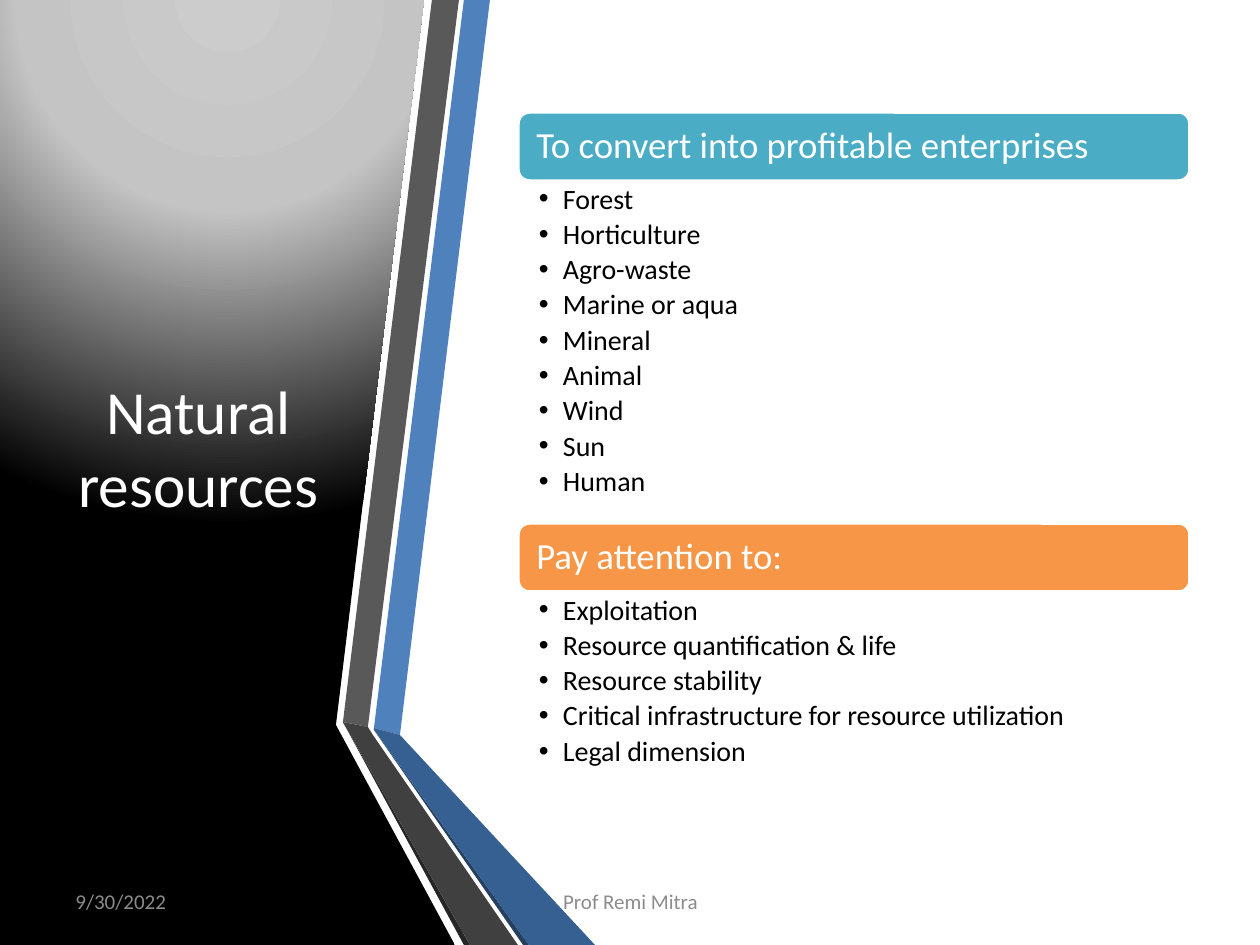
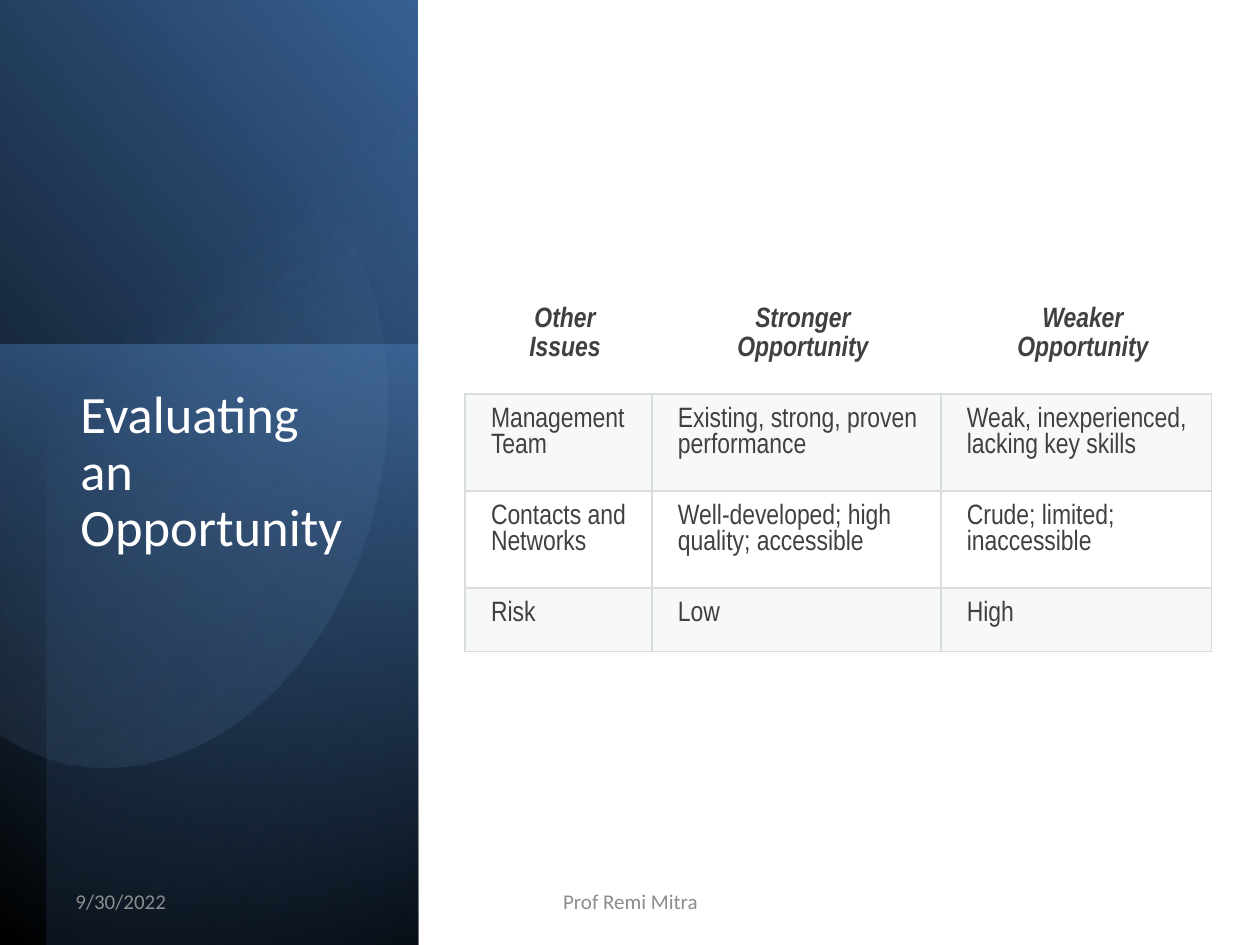
"""Build two course slides: natural resources and evaluating an opportunity."""
import collections
import dataclasses
import math

import lxml.etree
import pptx
import pptx.dml.color
import pptx.enum.shapes
import pptx.enum.text
import pptx.oxml.ns
import pptx.util

PX = 914400 / 126
SHAPES = pptx.enum.shapes.MSO_SHAPE
ALIGN = pptx.enum.text.PP_ALIGN
ANCHOR = pptx.enum.text.MSO_ANCHOR
Box = collections.namedtuple("Box", "x y w h")
qn = pptx.oxml.ns.qn


@dataclasses.dataclass(frozen=True)
class Theme:
    """Colours, fonts and type sizes of the deck."""
    white: str = "FFFFFF"
    black: str = "000000"
    muted: str = "8C8C8C"
    text: str = "404040"
    steel: str = "595959"
    charcoal: str = "404040"
    coal: str = "262626"
    blue: str = "4F81BD"
    deep_blue: str = "376092"
    navy: str = "254061"
    pale_blue: str = "95B3D7"
    teal: str = "4BACC6"
    orange: str = "F79646"
    rule: str = "D8DCDC"
    stripe: str = "D8DEDC"
    body_font: str = "Calibri"
    table_font: str = "Arial Narrow"
    title_size: int = 35
    side_title_size: int = 30
    heading_size: int = 21
    body_size: int = 16
    footer_size: int = 12


THEME = Theme()
SLIDE = Box(0, 0, 1260, 945)


def emu(pixels):
    """Turn pixels into EMU."""
    return pptx.util.Emu(round(pixels * PX))


def rgb(colour):
    """Turn a hex string into a colour."""
    return pptx.dml.color.RGBColor.from_string(colour)


def inside(box, x, y, w, h):
    """Return a box placed relative to another one."""
    return Box(box.x + x, box.y + y, w, h)


def place(box):
    """Return the four EMU lengths of a box."""
    return [emu(length) for length in box]


def paint(shape, colour):
    """Give a shape a plain fill without line or shadow."""
    shape.shadow.inherit = False
    shape.line.fill.background()
    shape.fill.solid()
    shape.fill.fore_color.rgb = rgb(colour)


def paint_gradient(shape, stops, angle=None, focus=None):
    """Fill a shape with (position, colour, opacity) stops, linear or circular."""
    shape.shadow.inherit = False
    shape.line.fill.background()
    shape.fill.background()
    gradient = lxml.etree.Element(qn("a:gradFill"), rotWithShape="1")
    stop_list = lxml.etree.SubElement(gradient, qn("a:gsLst"))
    for position, colour, opacity in stops:
        stop = lxml.etree.SubElement(stop_list, qn("a:gs"), pos=str(position * 1000))
        tint = lxml.etree.SubElement(stop, qn("a:srgbClr"), val=colour)
        if opacity < 100:
            lxml.etree.SubElement(tint, qn("a:alpha"), val=str(opacity * 1000))
    if focus:
        circle = lxml.etree.SubElement(gradient, qn("a:path"), path="circle")
        edges = {side: str(share * 1000) for side, share in zip("ltrb", focus)}
        lxml.etree.SubElement(circle, qn("a:fillToRect"), **edges)
    else:
        lxml.etree.SubElement(gradient, qn("a:lin"), ang=str(angle * 60000), scaled="0")
    properties = shape.element.spPr
    properties.replace(properties.find(qn("a:noFill")), gradient)


def outline(slide, box, points):
    """Draw a closed outline from points relative to a box."""
    corners = [(emu(box.x + x), emu(box.y + y)) for x, y in points]
    builder = slide.shapes.build_freeform(*corners[0], scale=1.0)
    builder.add_line_segments(corners[1:], close=True)
    return builder.convert_to_shape()


def style(paragraph, size, colour, font=THEME.body_font, align=ALIGN.LEFT, strong=False):
    """Format a paragraph and its runs."""
    paragraph.alignment = align
    for run in paragraph.runs:
        run.font.size = pptx.util.Pt(size)
        run.font.name = font
        run.font.color.rgb = rgb(colour)
        run.font.bold = run.font.italic = strong


def add_text(slide, box, text, size, colour, align=ALIGN.LEFT, anchor=ANCHOR.MIDDLE):
    """Add a wrapped text box and return its frame."""
    frame = slide.shapes.add_textbox(*place(box)).text_frame
    frame.word_wrap = True
    frame.vertical_anchor = anchor
    frame.text = text
    for paragraph in frame.paragraphs:
        style(paragraph, size, colour, align=align)
    return frame


def set_margins(target, left, top, right, bottom):
    """Set the insets of a text frame or a table cell."""
    target.margin_left, target.margin_top = emu(left), emu(top)
    target.margin_right, target.margin_bottom = emu(right), emu(bottom)


def add_footer(slide, box):
    """Add the date and the author."""
    add_text(slide, inside(box, 63, 0, 294, 50), "9/30/2022", THEME.footer_size, THEME.muted)
    add_text(slide, inside(box, 431, 0, 399, 50), "Prof Remi Mitra", THEME.footer_size,
             THEME.muted, ALIGN.CENTER)


def add_folded_panel(slide, box):
    """Draw the shaded panel with its two folded ribbons."""
    panel = outline(slide, box, [(0, 0), (424, 0), (336, 725), (455, box.h), (0, box.h)])
    paint_gradient(panel, [(0, "CCCCCC", 100), (40, "C4C4C4", 100), (100, THEME.black, 100)],
                   focus=(50, -80, 50, 180))
    ribbons = [
        (THEME.blue, [(374, 728), (400, 735), (490, 0), (464, 0)]),
        (THEME.steel, [(459, 0), (432, 0), (343, 722), (368, 727)]),
        (THEME.coal, [(343, 722), (464, 945), (470, 945)]),
        (THEME.navy, [(374, 730), (523, 945), (529, 945)]),
        (THEME.deep_blue, [(374, 730), (529, 945), (595, 945), (400, 735), (374, 728)]),
        (THEME.charcoal, [(518, 945), (373, 735), (368, 727), (343, 722), (470, 945)]),
    ]
    for colour, points in ribbons:
        paint(outline(slide, box, points), colour)


def add_section(slide, box, colour, heading, items):
    """Add a coloured heading bar with a bulleted list below it."""
    bar_height = 69
    bar = slide.shapes.add_shape(SHAPES.ROUNDED_RECTANGLE, *place(inside(box, 0, 0, box.w, bar_height)))
    paint(bar, colour)
    bar.line.color.rgb = rgb(THEME.white)
    bar.line.width = pptx.util.Pt(2)
    frame = bar.text_frame
    frame.word_wrap = True
    frame.vertical_anchor = ANCHOR.MIDDLE
    set_margins(frame, 15, 12, 15, 12)
    frame.text = heading
    frame.paragraphs[0].line_spacing = 0.9
    style(frame.paragraphs[0], THEME.heading_size, THEME.white)

    list_box = inside(box, 0, bar_height, box.w, box.h - bar_height)
    points = add_text(slide, list_box, "\n".join(items), THEME.body_size, THEME.black,
                      anchor=ANCHOR.TOP)
    set_margins(points, 21, 4, 20, 4)
    for paragraph in points.paragraphs:
        paragraph.level = 1
        paragraph.line_spacing = 0.9
        paragraph.space_after = pptx.util.Pt(2.9)
        properties = paragraph._p.get_or_add_pPr()
        properties.set("marL", str(emu(24)))
        properties.set("indent", str(emu(-24)))
        lxml.etree.SubElement(properties, qn("a:buFont"), typeface="Arial")
        lxml.etree.SubElement(properties, qn("a:buChar"), char="•")


def add_turned_layer(slide, box, rotation, flipped, stops, angle):
    """Cover a box with a quarter-turned gradient rectangle."""
    turned = Box(box.x + (box.w - box.h) / 2, box.y + (box.h - box.w) / 2, box.h, box.w)
    layer = slide.shapes.add_shape(SHAPES.RECTANGLE, *place(turned))
    layer.rotation = rotation
    if flipped:
        layer.element.spPr.xfrm.set("flipH", "1")
    paint_gradient(layer, stops, angle)


def curve(*controls, steps=16):
    """Sample a cubic Bezier curve, leaving out its start."""
    for step in range(1, steps + 1):
        t = step / steps
        weights = [(1 - t) ** 3, 3 * t * (1 - t) ** 2, 3 * t * t * (1 - t), t ** 3]
        yield tuple(sum(w * c[axis] for w, c in zip(weights, controls)) for axis in (0, 1))


def turn(points, centre, degrees):
    """Turn points clockwise around a centre."""
    cos, sin = math.cos(math.radians(degrees)), math.sin(math.radians(degrees))
    cx, cy = centre
    return [(cx + (x - cx) * cos - (y - cy) * sin, cy + (x - cx) * sin + (y - cy) * cos)
            for x, y in points]


def add_glow(slide, box):
    """Add the translucent rounded glow, turned with its gradient."""
    rotation = 101.6
    top, shoulder, side = (151, 112), (202, 115), (378, 490)
    bottom, corner, notch = (68, 765), (-1, 735), (32, 157)
    points = [
        top,
        *curve(top, (168, 111), (185, 112), shoulder),
        *curve(shoulder, (336, 142), (415, 311), side),
        *curve(side, (341, 669), (203, 791), bottom),
        *curve(bottom, (43, 759), (20, 749), corner),
        (-15, 723), (11, 174), notch,
        *curve(notch, (68, 131), (110, 115), top),
    ]
    glow = outline(slide, box, turn(points, (171, 447), -rotation))
    glow.rotation = rotation
    paint_gradient(glow, [(39, THEME.pale_blue, 0), (100, THEME.deep_blue, 26)], 310)


def add_blue_panel(slide, box):
    """Layer the gradients of the blue side panel."""
    add_turned_layer(slide, box, 90, True,
                     [(0, THEME.black, 100), (100, THEME.deep_blue, 100)], 310)
    add_turned_layer(slide, inside(box, 0, 344, box.w, 600), 270, False,
                     [(0, THEME.blue, 50), (100, THEME.navy, 0)], 190)
    add_turned_layer(slide, inside(box, 47, 0, box.w - 47, box.h), 270, True,
                     [(0, THEME.black, 59), (69, THEME.blue, 0)], 220)
    add_glow(slide, box)


def add_borders(cell, sides):
    """Draw thin rules on the given sides of a cell."""
    properties = cell._tc.get_or_add_tcPr()
    for index, side in enumerate(sides):
        line = lxml.etree.Element(qn("a:ln" + side), w=str(pptx.util.Pt(0.75)))
        fill = lxml.etree.SubElement(line, qn("a:solidFill"))
        lxml.etree.SubElement(fill, qn("a:srgbClr"), val=THEME.rule)
        properties.insert(index, line)


def add_comparison(slide, box, columns, heights, rows):
    """Add the comparison table with an open header and pale stripes."""
    table = slide.shapes.add_table(len(rows), len(columns), *place(box)).table
    table.first_row = table.horz_banding = False
    for column, width in zip(table.columns, columns):
        column.width = emu(width)
    for index, (row, height, texts) in enumerate(zip(table.rows, heights, rows)):
        row.height = emu(height)
        header = index == 0
        for cell, text in zip(row.cells, texts):
            set_margins(cell, 26, 13, 13, 13)
            cell.text_frame.text = text
            for paragraph in cell.text_frame.paragraphs:
                paragraph.space_before = pptx.util.Pt(1.6 if header else 3.2)
                style(paragraph, THEME.body_size, THEME.text, THEME.table_font,
                      ALIGN.CENTER if header else ALIGN.LEFT, strong=header)
            if index % 2:
                cell.fill.solid()
                cell.fill.fore_color.rgb = rgb(THEME.stripe)
                tint = cell._tc.tcPr.find(".//" + qn("a:srgbClr"))
                lxml.etree.SubElement(tint, qn("a:alpha"), val="20000")
            else:
                cell.fill.background()
            add_borders(cell, "B" if header else "LRTB")


def build_resources(slide, box):
    """Build the natural resources slide."""
    add_folded_panel(slide, box)
    add_text(slide, inside(box, 55, 95, 287, 703), "Natural resources", THEME.title_size,
             THEME.white, ALIGN.CENTER)
    add_section(slide, inside(box, 518, 112, 672, 411), THEME.teal,
                "To convert into profitable enterprises",
                ["Forest", "Horticulture", "Agro-waste", "Marine or aqua", "Mineral",
                 "Animal", "Wind", "Sun", "Human"])
    add_section(slide, inside(box, 518, 523, 672, 258), THEME.orange, "Pay attention to:",
                ["Exploitation", "Resource quantification & life", "Resource stability",
                 "Critical infrastructure for resource utilization", "Legal dimension"])


def build_opportunity(slide, box):
    """Build the opportunity evaluation slide."""
    add_blue_panel(slide, inside(box, 0, 0, 418, box.h))
    title = add_text(slide, inside(box, 68, 382, 297, 423), "Evaluating an Opportunity",
                     THEME.side_title_size, THEME.white, anchor=ANCHOR.TOP)
    title.paragraphs[0].line_spacing = 0.9
    add_comparison(slide, inside(box, 465, 294, 747, 358), [187, 289, 271], [100, 97, 97, 64], [
        ["Other\nIssues", "Stronger\nOpportunity", "Weaker\nOpportunity"],
        ["Management Team", "Existing, strong, proven performance",
         "Weak, inexperienced, lacking key skills"],
        ["Contacts and Networks", "Well-developed; high quality; accessible",
         "Crude; limited; inaccessible"],
        ["Risk", "Low", "High"],
    ])


def main():
    """Build and save the presentation."""
    deck = pptx.Presentation()
    deck.slide_width, deck.slide_height = emu(SLIDE.w), emu(SLIDE.h)
    for build in (build_resources, build_opportunity):
        slide = deck.slides.add_slide(deck.slide_layouts[6])
        build(slide, SLIDE)
        add_footer(slide, inside(SLIDE, 0, 876, SLIDE.w, 50))
    deck.save("out.pptx")


main()
